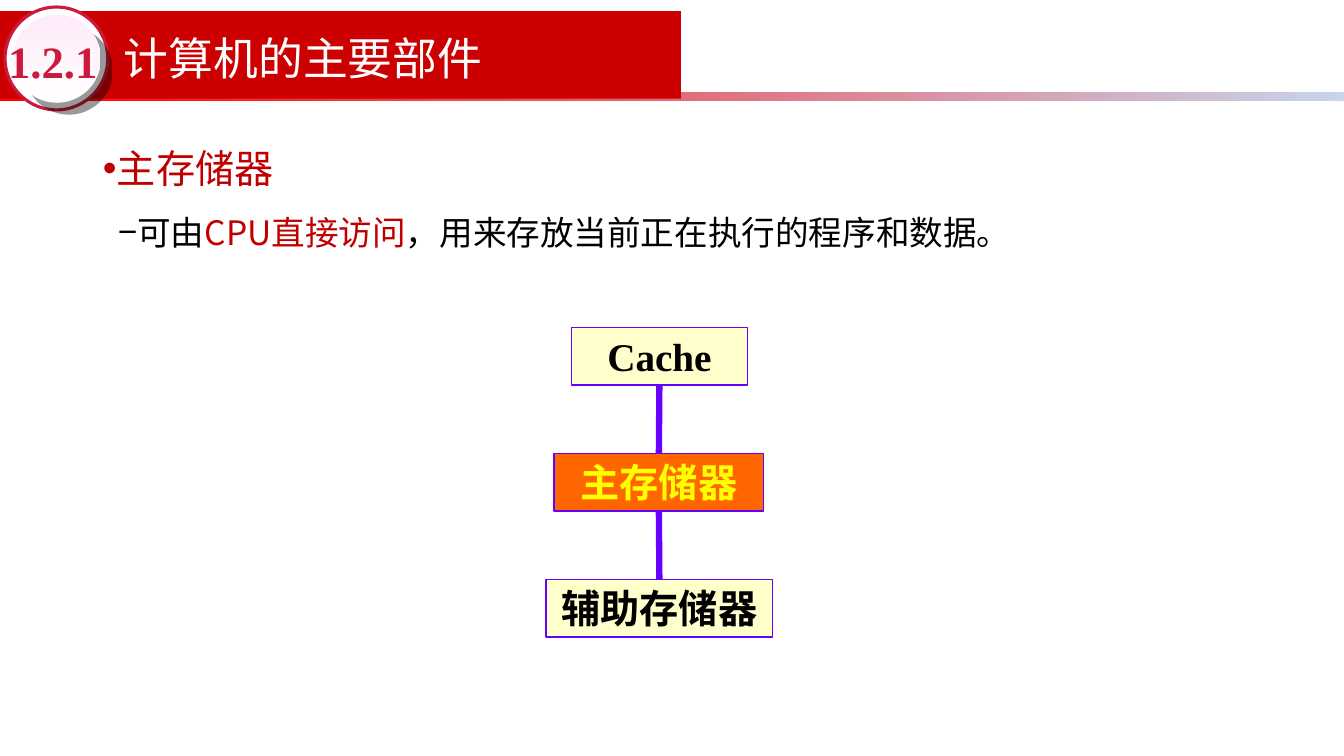
from dataclasses import dataclass
from typing import NamedTuple

from lxml.etree import SubElement
from pptx import Presentation
from pptx.dml.color import RGBColor
from pptx.enum.shapes import MSO_CONNECTOR as Connector, MSO_SHAPE as Shape
from pptx.enum.text import MSO_ANCHOR as Anchor, MSO_AUTO_SIZE as AutoSize, PP_ALIGN as Align
from pptx.oxml.ns import qn
from pptx.util import Pt

EMU_PER_PX = 9144


class Box(NamedTuple):
    """A rectangle in px."""
    left: int
    top: int
    width: int
    height: int

    def inner(self, left, top, width, height):
        """Return a box placed relative to this one."""
        return Box(self.left + left, self.top + top, width, height)

    def emu(self):
        """Return the four lengths in EMU."""
        return [length * EMU_PER_PX for length in self]


@dataclass(frozen=True)
class Theme:
    """Colours, fonts and type sizes of the slide."""
    white: str = "FFFFFF"
    black: str = "000000"
    banner: str = "CC0000"
    rule_start: str = "FF0000"
    rule_end: str = "C7D5ED"
    badge: str = "CB1B3D"
    badge_tint: str = "FFEBFA"
    accent: str = "C00000"
    node: str = "FFFFCC"
    link: str = "6600FF"
    active: str = "FF6600"
    active_text: str = "FFFF00"
    sans: str = "Noto Sans CJK SC"
    serif: str = "Times New Roman"
    title_size: int = 32
    topic_size: int = 28
    detail_size: int = 24
    node_size: int = 28


THEME = Theme()


def rgb(code):
    """Turn a hex code into a colour."""
    return RGBColor.from_string(code)


def add_run(para, text, size, color, font=THEME.sans, bold=False):
    """Add one formatted run to a paragraph."""
    run = para.add_run()
    run.text = text
    run.font.size = Pt(size)
    run.font.bold = bold
    run.font.name = font
    run.font.color.rgb = rgb(color)
    east_asian = SubElement(run.font._element, qn("a:ea"))
    east_asian.set("typeface", THEME.sans)


def place(slide, shape, box):
    """Move a placeholder to a box and bring it to the front."""
    shape.left, shape.top, shape.width, shape.height = box.emu()
    slide.shapes._spTree.append(shape._element)
    frame = shape.text_frame
    frame.word_wrap = True
    frame.auto_size = AutoSize.NONE
    return frame


def add_panel(slide, kind, box, fill, line=None, width=1):
    """Add a preset shape with a solid or two-colour fill."""
    shape = slide.shapes.add_shape(kind, *box.emu())
    shape.shadow.inherit = False
    if isinstance(fill, str):
        shape.fill.solid()
        shape.fill.fore_color.rgb = rgb(fill)
    else:
        *colors, angle = fill
        shape.fill.gradient()
        shape.fill.gradient_angle = angle
        for stop, color in zip(shape.fill.gradient_stops, colors):
            stop.color.rgb = rgb(color)
    if line:
        shape.line.color.rgb = rgb(line)
        shape.line.width = Pt(width)
    else:
        shape.line.fill.background()
    return shape


def add_drop_shadow(shape):
    """Give a shape a sharp shadow to the lower right."""
    effects = shape._element.spPr.find(qn("a:effectLst"))
    shadow = SubElement(effects, qn("a:outerShdw"), dist=str(Pt(12.1)), dir="2700000",
                        algn="ctr", rotWithShape="0")
    color = SubElement(shadow, qn("a:srgbClr"), val=THEME.black)
    SubElement(color, qn("a:alpha"), val="40000")


def add_badge(slide, box, number):
    """Draw the round section number."""
    add_panel(slide, Shape.OVAL, box, THEME.white, THEME.badge, 2.25)
    disc = add_panel(slide, Shape.OVAL, box.inner(8, 8, 87, 87),
                     (THEME.white, THEME.badge_tint, 90))
    add_drop_shadow(disc)
    label = slide.shapes.add_textbox(*box.inner(3, 26, 93, 54).emu())
    frame = label.text_frame
    frame.word_wrap = True
    frame.vertical_anchor = Anchor.MIDDLE
    frame.margin_left = frame.margin_right = frame.margin_top = frame.margin_bottom = 0
    add_run(frame.paragraphs[0], number, THEME.title_size, THEME.badge, THEME.serif, True)


def add_header(slide, box, number, title):
    """Draw the banner with its rule, badge and title."""
    add_panel(slide, Shape.RECTANGLE, box.inner(0, 92, box.width, 8),
              (THEME.rule_start, THEME.rule_end, 315))
    add_panel(slide, Shape.RECTANGLE, box.inner(0, 11, 676, 87), THEME.banner)
    add_badge(slide, box.inner(5, 7, 102, 102), number)
    frame = place(slide, slide.shapes.title, box.inner(113, 20, 744, 82))
    frame.vertical_anchor = Anchor.MIDDLE
    para = frame.paragraphs[0]
    para.alignment = Align.LEFT
    para.line_spacing = 0.9
    add_run(para, title, THEME.title_size, THEME.white)


def format_bullet(para, char, color, margin, hanging):
    """Set the bullet, indent and spacing of a list paragraph."""
    props = para._p.get_or_add_pPr()
    props.set("marL", str(margin * EMU_PER_PX))
    props.set("indent", str(-hanging * EMU_PER_PX))
    bullet_color = SubElement(props, qn("a:buClr"))
    SubElement(bullet_color, qn("a:srgbClr"), val=color)
    SubElement(props, qn("a:buChar"), char=char)
    para.alignment = Align.JUSTIFY
    para.line_spacing = 1.5
    para.space_before = Pt(0)


def add_points(slide, box, topic, details):
    """Fill the body placeholder with a topic and its detail."""
    frame = place(slide, slide.placeholders[1], box)
    para = frame.paragraphs[0]
    format_bullet(para, "•", THEME.accent, 14, 14)
    add_run(para, topic, THEME.topic_size, THEME.accent)
    para = frame.add_paragraph()
    para.level = 1
    format_bullet(para, "−", THEME.black, 28, 13)
    for text, color in details:
        add_run(para, text, THEME.detail_size, color)


def add_hierarchy(slide, box, levels):
    """Stack the memory levels and link each to the next."""
    above = None
    for index, (name, width, fill, color) in enumerate(levels):
        spot = box.inner((box.width - width) // 2, index * 125, width, 57)
        node = add_panel(slide, Shape.RECTANGLE, spot, fill, THEME.link)
        frame = node.text_frame
        frame.word_wrap = True
        frame.vertical_anchor = Anchor.MIDDLE
        para = frame.paragraphs[0]
        para.alignment = Align.CENTER
        add_run(para, name, THEME.node_size, color, THEME.serif, True)
        if above:
            link = slide.shapes.add_connector(Connector.STRAIGHT, 0, 0, 0, 0)
            link.begin_connect(above, 2)
            link.end_connect(node, 0)
            link.line.color.rgb = rgb(THEME.link)
            link.line.width = Pt(4.5)
            SubElement(link._element.spPr, qn("a:effectLst"))
        above = node


def main():
    """Build the deck and save it."""
    deck = Presentation()
    page = Box(0, 0, 1334, 750)
    _, _, deck.slide_width, deck.slide_height = page.emu()
    slide = deck.slides.add_slide(deck.slide_layouts[1])
    add_header(slide, page.inner(0, 0, page.width, 110), "1.2.1", "计算机的主要部件")
    add_points(slide, page.inner(92, 115, 1150, 544), "主存储器", [
        ("可由", THEME.black),
        ("CPU直接访问", THEME.accent),
        ("，用来存放当前正在执行的程序和数据。", THEME.black),
    ])
    add_hierarchy(slide, page.inner(542, 325, 225, 307), [
        ("Cache", 175, THEME.node, THEME.black),
        ("主存储器", 208, THEME.active, THEME.active_text),
        ("辅助存储器", 225, THEME.node, THEME.black),
    ])
    deck.save("out.pptx")


if __name__ == "__main__":
    main()
